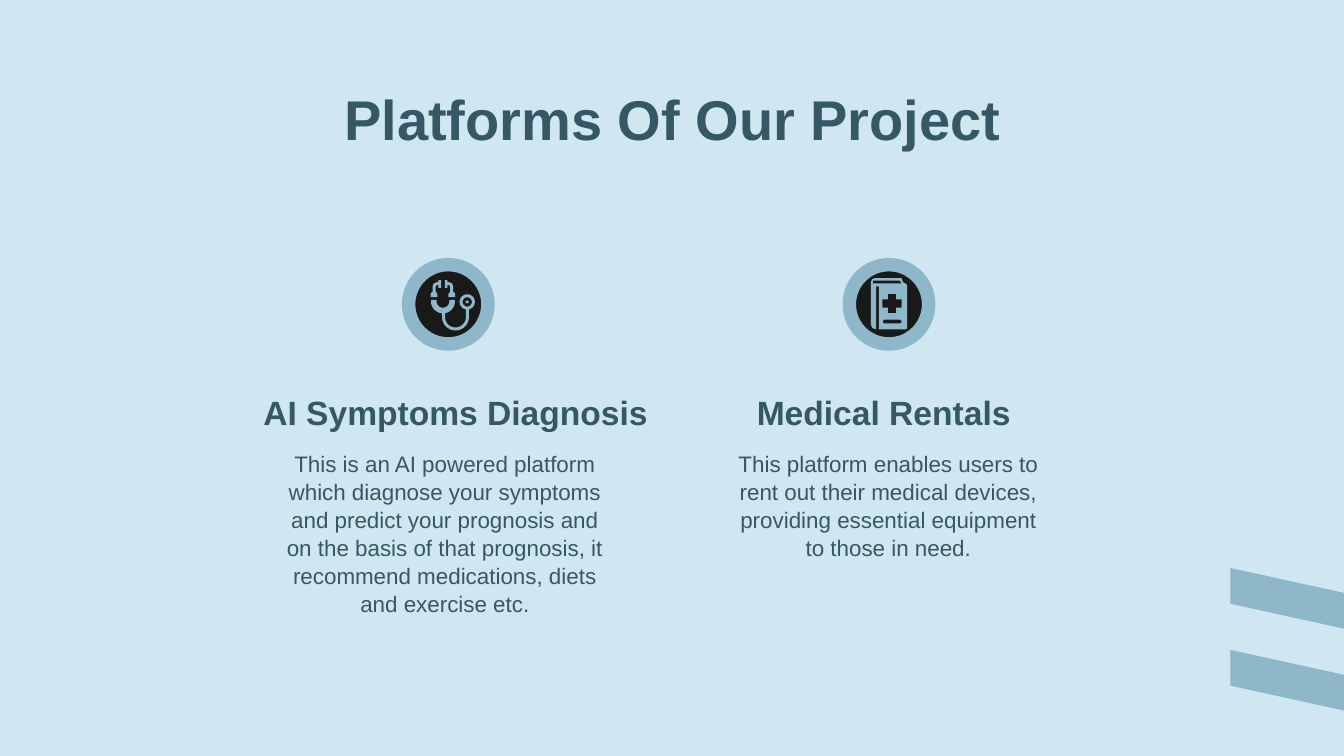
"""Build the slide presenting the two platforms of the project."""
from math import cos, radians, sin

from pptx import Presentation
from pptx.dml.color import RGBColor
from pptx.enum.shapes import MSO_SHAPE as Preset
from pptx.enum.text import MSO_ANCHOR as Anchor, MSO_AUTO_SIZE as AutoSize, PP_ALIGN as Align
from pptx.util import Pt
from lxml.etree import SubElement
from pptx.oxml.ns import qn

PALE = RGBColor(0xD0, 0xE7, 0xF1)
BLUE = RGBColor(0x8E, 0xB7, 0xCA)
SLATE = RGBColor(0x35, 0x57, 0x66)
BLACK = RGBColor(0x19, 0x19, 0x19)
RIM = RGBColor(0x12, 0x12, 0x12)


def arc(cx, cy, radius, start, end, steps=24):
    angles = [radians(start + (end - start) * i / steps) for i in range(steps + 1)]
    return [(cx + radius * cos(a), cy + radius * sin(a)) for a in angles]


def draw_outline(shapes, *contours):
    contours = [[(Pt(x), Pt(y)) for x, y in contour] for contour in contours]
    builder = shapes.build_freeform(*contours[0][0])
    builder.add_line_segments(contours[0][1:], close=True)
    for contour in contours[1:]:
        builder.move_to(*contour[0])
        builder.add_line_segments(contour[1:], close=True)
    outline = builder.convert_to_shape()
    outline.shadow.inherit = False
    outline.fill.solid()
    outline.fill.fore_color.rgb = BLUE
    outline.line.fill.background()


prs = Presentation()
prs.slide_width, prs.slide_height = Pt(720), Pt(405)
slide = prs.slides.add_slide(prs.slide_layouts[4])
shapes = slide.shapes
slide.background.fill.solid()
slide.background.fill.fore_color.rgb = PALE

texts = [
    (0, "Platforms Of Our Project", (56.9, 35.3, 607, 45.4), 30, True, Anchor.TOP, 1.08),
    (1, "AI Symptoms Diagnosis", (126, 203, 236.2, 36), 18, True, Anchor.BOTTOM, 1),
    (2, "This is an AI powered platform which diagnose your symptoms and predict your "
        "prognosis and on the basis of that prognosis, it recommend medications, diets "
        "and exercise etc.", (142.6, 233.3, 191.5, 79.9), 12, False, Anchor.TOP, 1.04),
    (3, "Medical Rentals ", (383.8, 203, 184.3, 36), 18, True, Anchor.BOTTOM, 1),
    (4, "This platform enables users to rent out their medical devices, providing "
        "essential equipment to those in need.",
     (383.8, 233.3, 184.3, 79.9), 12, False, Anchor.TOP, 1.04),
]
for idx, wording, (left, top, width, height), size, bold, anchor, spacing in texts:
    holder = slide.placeholders[idx]
    holder.left, holder.top, holder.width, holder.height = Pt(left), Pt(top), Pt(width), Pt(height)
    frame = holder.text_frame
    frame.text = wording
    frame.word_wrap = True
    frame.auto_size = AutoSize.NONE
    frame.vertical_anchor = anchor
    frame.margin_left = frame.margin_right = frame.margin_top = frame.margin_bottom = Pt(7.2)
    paragraph = frame.paragraphs[0]
    paragraph.alignment = Align.CENTER
    paragraph.line_spacing = spacing
    paragraph.space_before = Pt(0)
    paragraph.font.name, paragraph.font.size, paragraph.font.bold = "Arial", Pt(size), bold
    paragraph.font.color.rgb = SLATE
    properties = paragraph._p.get_or_add_pPr()
    properties.set("marL", "0")
    properties.set("indent", "0")
    properties.insert_element_before(SubElement(properties, qn("a:buNone")), "a:defRPr")

for top in (268.6, 312.5):
    stripe = shapes.add_shape(Preset.PARALLELOGRAM, Pt(694.8), Pt(top), Pt(44.6), Pt(115.9))
    stripe.rotation = 270
    stripe.adjustments[0] = 0.57
    stripe.shadow.inherit = False
    stripe.fill.solid()
    stripe.fill.fore_color.rgb = BLUE
    stripe.line.fill.background()

for ring_left, disc_left, disc_top in ((215.3, 216.7, 141.1), (451.4, 452.9, 139.7)):
    disc = shapes.add_shape(Preset.OVAL, Pt(disc_left), Pt(disc_top), Pt(46.8), Pt(44.6))
    ring = shapes.add_shape(Preset.DONUT, Pt(ring_left), Pt(138.2), Pt(49.7), Pt(49.7))
    ring.adjustments[0] = 0.145
    for part, color in ((disc, BLACK), (ring, BLUE)):
        part.shadow.inherit = False
        part.fill.solid()
        part.fill.fore_color.rgb = color
    disc.line.color.rgb = RIM
    disc.line.width = Pt(2)
    ring.line.fill.background()

axis = 237.3
earpiece = [(1, 150), (2.4, 150), (2.4, 151.2), (3.4, 151.2), (4.9, 151.8), (5.5, 153.4),
            (5.5, 156.2), (6.5, 157.2), (6.6, 159.2), (3, 159.2), (3, 157.4), (3.9, 156.2),
            (3.9, 153.6), (3.3, 152.7), (2.4, 152.7), (2.4, 154.2), (1, 154.2)]
for side in (-1, 1):
    draw_outline(shapes, [(axis + side * dx, y) for dx, y in earpiece])
tube = (arc(axis, 161.5, 6.4, 180, 95) + arc(244, 169.9, 7.2, 180, 0)
        + [(251.2, 165.8), (249.6, 165.8)] + arc(244, 169.9, 5.6, 0, 180)
        + arc(axis, 161.5, 6.4, 80, 0) + [(243.7, 160.7), (240.7, 160.7)]
        + arc(axis, 161.5, 3.4, 0, 180) + [(233.9, 160.7), (230.9, 160.7)])
draw_outline(shapes, tube, arc(250.3, 161.8, 4.1, 0, 360), arc(250.3, 161.8, 2.5, 0, 360))
draw_outline(shapes, arc(250.3, 161.8, 0.8, 0, 360))

cover = [(466.6, 151), (467.2, 149.6), (468.7, 149), (482.8, 149), (483.2, 149.4),
         (483.8, 151.2), (485.6, 152.2), (486, 152.8), (486, 175.8), (485.4, 176.4),
         (470.8, 176.4), (470.8, 153.4), (469.4, 153.4), (469.4, 176.4), (467.4, 175.8),
         (466.6, 174)]
pages = [(467.6, 150.4), (482.2, 150.4), (483, 151.8), (467.6, 151.8)]
label = arc(474, 172.3, 1, 90, 270) + arc(482, 172.3, 1, -90, 90)
arm, reach = 2.2, 5.2
cross = [(477.9 + x * sx, 162.6 + y * sy) for sx, sy, x, y in (
    (1, -1, arm, reach), (1, -1, arm, arm), (1, -1, reach, arm),
    (1, 1, reach, arm), (1, 1, arm, arm), (1, 1, arm, reach),
    (-1, 1, arm, reach), (-1, 1, arm, arm), (-1, 1, reach, arm),
    (-1, -1, reach, arm), (-1, -1, arm, arm), (-1, -1, arm, reach))]
draw_outline(shapes, cover, pages, label, cross)

prs.save("out.pptx")
